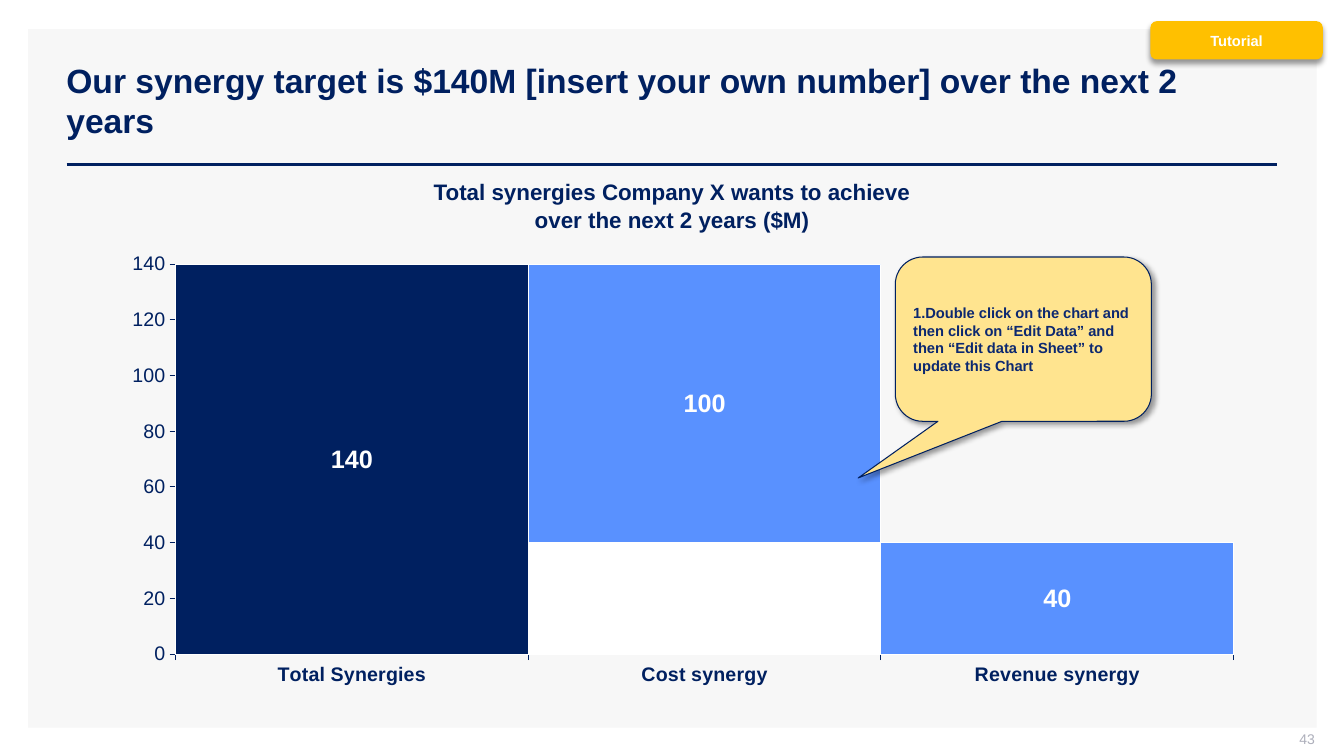
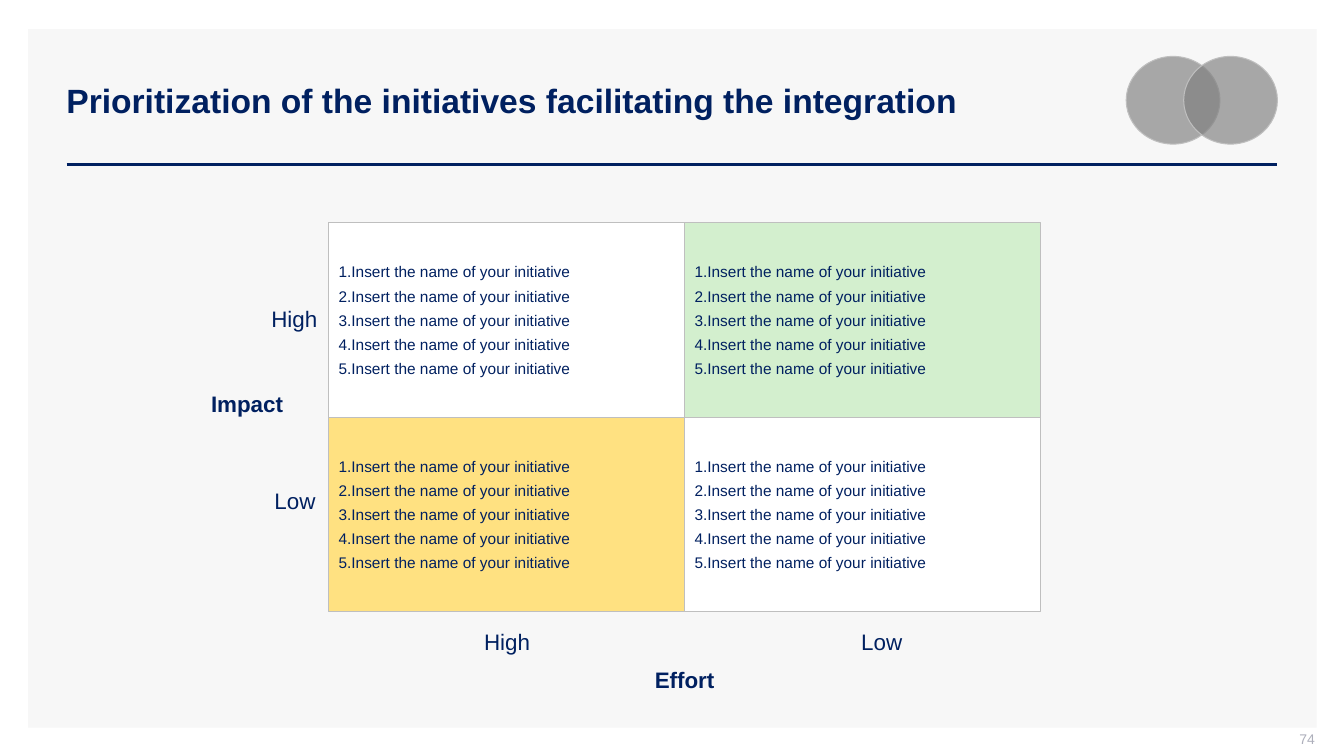
from lxml.etree import SubElement
from pptx import Presentation
from pptx.chart.data import CategoryChartData
from pptx.dml.color import RGBColor
from pptx.enum.chart import XL_CHART_TYPE, XL_LABEL_POSITION as LABEL_POS, XL_TICK_MARK as TICK
from pptx.enum.shapes import MSO_CONNECTOR, MSO_SHAPE as SHAPE
from pptx.enum.text import MSO_ANCHOR as ANCHOR, MSO_AUTO_SIZE as AUTO, PP_ALIGN as ALIGN
from pptx.oxml.ns import qn
from pptx.util import Inches, Pt

FONT = "Arial"
COLORS = {
    "navy": "002060", "blue": "5991FF", "white": "FFFFFF", "panel": "F7F7F7",
    "page": "ADAFBB", "amber": "FFC000", "note": "FFE48F", "note_text": "0C2870",
    "green": "D3EFCE", "yellow": "FFE181", "border": "BFBFBF", "gray": "808080",
    "black": "000000",
}


def rgb(name):
    return RGBColor.from_string(COLORS[name])


def style_font(font, size, color="navy", bold=False):
    font.name = FONT
    font.size = Pt(size)
    font.bold = bold
    font.color.rgb = rgb(color)


def set_frame(tf, insets=(0.1, 0.05, 0.1, 0.05), anchor=ANCHOR.MIDDLE, wrap=True):
    tf.margin_left, tf.margin_top, tf.margin_right, tf.margin_bottom = map(Inches, insets)
    tf.vertical_anchor = anchor
    tf.word_wrap = wrap


def write(tf, lines, size, color="navy", bold=False, align=ALIGN.LEFT):
    """Write one paragraph per line and return the paragraphs."""
    for i, line in enumerate(lines):
        p = tf.add_paragraph() if i else tf.paragraphs[0]
        p.alignment = align
        r = p.add_run()
        r.text = line
        style_font(r.font, size, color, bold)
    return tf.paragraphs


def add_text(s, box, lines, size, color="navy", bold=False, align=ALIGN.LEFT, **frame):
    tf = s.shapes.add_textbox(*map(Inches, box)).text_frame
    set_frame(tf, **frame)
    return write(tf, lines, size, color, bold, align)


def add_box(shapes, kind, box, fill, line=None):
    sp = shapes.add_shape(kind, *map(Inches, box))
    sp.shadow.inherit = False
    sp.fill.solid()
    sp.fill.fore_color.rgb = rgb(fill)
    if line:
        sp.line.color.rgb = rgb(line)
        sp.line.width = Pt(0.75)
    else:
        sp.line.fill.background()
    return sp


def set_alpha(color_element, percent):
    SubElement(color_element, qn("a:alpha"), val=str(percent * 1000))


def add_shadow(sp, angle):
    effects = sp._element.spPr.find(qn("a:effectLst"))
    shadow = SubElement(effects, qn("a:outerShdw"), blurRad=str(Pt(4)), dist=str(Pt(3)),
                        dir=str(angle * 60000), algn="tl", rotWithShape="0")
    set_alpha(SubElement(shadow, qn("a:srgbClr"), val=COLORS["black"]), 40)


def number_paragraph(p):
    pPr = p._p.get_or_add_pPr()
    pPr.set("marL", str(Inches(0.12)))
    pPr.set("indent", str(Inches(-0.12)))
    color = SubElement(pPr, qn("a:buClr"))
    SubElement(color, qn("a:srgbClr"), val=COLORS["navy"])
    SubElement(pPr, qn("a:buFont"), typeface="+mj-lt")
    SubElement(pPr, qn("a:buAutoNum"), type="arabicPeriod")


def add_base(prs, title, number):
    """Add a slide with the shared panel, title, rule and page number."""
    s = prs.slides.add_slide(prs.slide_layouts[6])
    add_box(s.shapes, SHAPE.RECTANGLE, (0.28, 0.29, 12.78, 6.93), "panel")
    rule = s.shapes.add_connector(MSO_CONNECTOR.STRAIGHT, Inches(0.66), Inches(1.63),
                                  Inches(12.67), Inches(1.63))
    rule.line.color.rgb = rgb("navy")
    rule.line.width = Pt(2)
    SubElement(rule._element.spPr, qn("a:effectLst"))
    add_text(s, (0.56, 0.4, 12.11, 1.19), [title], 24, bold=True)
    add_text(s, (10.04, 7.25, 3, 0.21), [str(number)], 10, "page", align=ALIGN.RIGHT,
             insets=(0.1, 0, 0, 0.05))
    return s


def set_plot_layout(chart, x, y, w, h):
    area = chart._chartSpace.chart.plotArea
    for old in area.findall(qn("c:layout")):
        area.remove(old)
    layout = SubElement(area, qn("c:layout"))
    area.insert(0, layout)
    manual = SubElement(layout, qn("c:manualLayout"))
    for tag, val in (("layoutTarget", "inner"), ("xMode", "edge"), ("yMode", "edge"),
                     ("x", x), ("y", y), ("w", w), ("h", h)):
        SubElement(manual, qn(f"c:{tag}"), val=str(val))


def style_axis(axis, bold=False):
    axis.has_major_gridlines = False
    axis.major_tick_mark = TICK.OUTSIDE
    axis.minor_tick_mark = TICK.NONE
    axis.format.line.color.rgb = rgb("navy")
    axis.format.line.width = Pt(0.75)
    style_font(axis.tick_labels.font, 14, bold=bold)


def add_waterfall(s, box, cats, series):
    """Stack columns; series holds (name, values, color, labelled)."""
    data = CategoryChartData()
    data.categories = cats
    for name, values, _, _ in series:
        data.add_series(name, values)
    chart = s.shapes.add_chart(XL_CHART_TYPE.COLUMN_STACKED, *map(Inches, box), data).chart
    chart.has_legend = False
    chart.has_title = False
    style_font(chart.font, 14)
    style_axis(chart.category_axis, bold=True)
    style_axis(chart.value_axis)
    chart.value_axis.minimum_scale = 0
    chart.value_axis.maximum_scale = 140
    chart.value_axis.major_unit = 20
    plot = chart.plots[0]
    plot.gap_width = 0
    plot.overlap = 100
    plot.vary_by_categories = False
    for ser, (_, _, color, labelled) in zip(plot.series, series):
        ser.format.fill.solid()
        ser.format.fill.fore_color.rgb = rgb(color)
        ser.format.line.color.rgb = rgb("white")
        ser.format.line.width = Pt(0.75)
        if labelled:
            labels = ser.data_labels
            labels.show_value = True
            labels.position = LABEL_POS.CENTER
            style_font(labels.font, 18, "white", True)
    set_plot_layout(chart, 0.09, 0.046, 0.874, 0.806)


def add_axis_label(s, box, text, bold=False, insets=(0.1, 0.05, 0.1, 0.05)):
    p = add_text(s, box, [text], 16, bold=bold, align=ALIGN.CENTER, insets=insets,
                 anchor=ANCHOR.TOP, wrap=False)[0]
    p._parent.auto_size = AUTO.SHAPE_TO_FIT_TEXT


def add_matrix(s, left, top, width, height, fills, items):
    for row, row_fills in enumerate(fills):
        for col, fill in enumerate(row_fills):
            box = (left + col * width, top + row * height, width, height)
            sp = add_box(s.shapes, SHAPE.RECTANGLE, box, fill, "border")
            set_frame(sp.text_frame)
            for i, p in enumerate(write(sp.text_frame, items, 11)):
                number_paragraph(p)
                if i:
                    p.space_before = Pt(4)


def add_overlap_icon(s):
    group = s.shapes.add_group_shape()
    for left in (11.17, 11.74):
        sp = add_box(group.shapes, SHAPE.OVAL, (left, 0.56, 0.93, 0.87), "gray", "border")
        fill = sp._element.spPr.find(qn("a:solidFill"))
        set_alpha(fill.find(qn("a:srgbClr")), 67)


def build_target(prs):
    s = add_base(prs, "Our synergy target is $140M [insert your own number] over the next 2 years", 43)

    # Chart and its heading
    add_waterfall(s, (0.66, 2.4, 12.01, 4.8),
                  ["Total Synergies", "Cost synergy", "Revenue synergy"],
                  [("Series 1", (0, 40, 0), "white", False),
                   ("Series 2", (None, 100, 40), "blue", True),
                   ("Series 3", (140, None, None), "navy", True)])
    heading = add_text(s, (0.66, 1.75, 12.01, 0.55),
                       ["Total synergies Company X wants to achieve", "over the next 2 years ($M)"],
                       16, bold=True, align=ALIGN.CENTER, insets=(0, 0, 0, 0), anchor=ANCHOR.TOP)
    for p in heading:
        p.line_spacing = 1.06

    # Instruction callout
    note = add_box(s.shapes, SHAPE.ROUNDED_RECTANGULAR_CALLOUT, (8.88, 2.55, 2.54, 1.63),
                   "note", "navy")
    for i, value in enumerate((-0.645, 0.845, 0.167)):
        note.adjustments[i] = value
    add_shadow(note, 45)
    set_frame(note.text_frame)
    write(note.text_frame, ["1.Double click on the chart and then click on “Edit Data” and then "
                            "“Edit data in Sheet” to update this Chart"], 10.5, "note_text", True)

    # Tutorial tag
    tag = add_box(s.shapes, SHAPE.ROUNDED_RECTANGLE, (11.41, 0.21, 1.71, 0.38), "amber")
    add_shadow(tag, 90)
    set_frame(tag.text_frame)
    write(tag.text_frame, ["Tutorial"], 10.5, "white", True, ALIGN.CENTER)


def build_priorities(prs):
    s = add_base(prs, "Prioritization of the initiatives facilitating the integration", 74)

    # Axis names and levels
    wide = (0.2, 0.1, 0.2, 0.1)
    add_axis_label(s, (1.89, 3.77, 1.12, 0.47), "Impact", True, wide)
    add_axis_label(s, (6.29, 6.51, 1, 0.47), "Effort", True, wide)
    for left, top, level in ((2.59, 2.98, "High"), (2.62, 4.78, "Low"),
                             (4.7, 6.18, "High"), (8.44, 6.18, "Low")):
        add_axis_label(s, (left, top, 0.66 if level == "High" else 0.61, 0.37), level)

    # Quadrants
    add_matrix(s, 3.26, 2.21, 3.53, 1.93, [("white", "green"), ("yellow", "white")],
               ["Insert the name of your initiative"] * 5)

    add_overlap_icon(s)


def main():
    prs = Presentation()
    prs.slide_width = Inches(13.33)
    prs.slide_height = Inches(7.5)
    build_target(prs)
    build_priorities(prs)
    prs.save("out.pptx")


if __name__ == "__main__":
    main()
